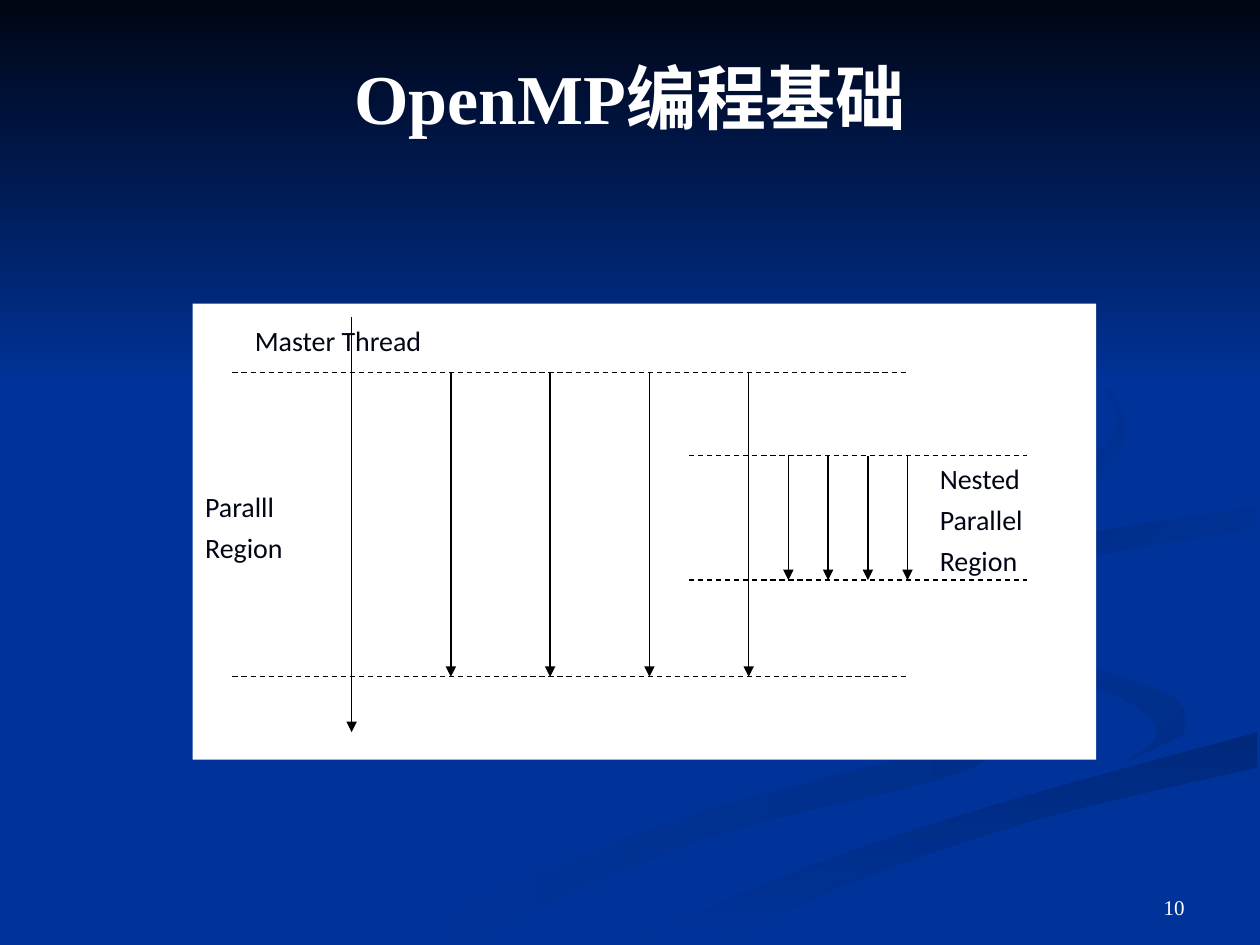
"""Build the OpenMP slide showing a parallel region with a nested one."""
from typing import NamedTuple

from lxml.etree import SubElement
from pptx import Presentation
from pptx.dml.color import RGBColor
from pptx.enum.dml import MSO_LINE
from pptx.enum.shapes import MSO_CONNECTOR, MSO_SHAPE
from pptx.enum.text import MSO_ANCHOR, PP_ALIGN
from pptx.oxml.ns import qn
from pptx.util import Inches, Pt

COLORS = {
    "blue": "003399", "night": "000514", "white": "FFFFFF", "black": "000000",
    "shade": "002E8A", "deep": "00297C", "dusk": "002C85", "dark": "002B81",
}
SERIF, SANS = "Times New Roman", "Calibri"


class Grid(NamedTuple):
    left: float
    top: float
    column: float
    row: float

    def point(self, column, row):
        return Inches(self.left + column * self.column), Inches(self.top + row * self.row)

    def area(self, column, row, columns, rows):
        return *self.point(column, row), Inches(columns * self.column), Inches(rows * self.row)


SHEET = Grid(0, 0, 1, 1)
PANEL = Grid(1.53, 2.41, 7.17 / 91, 3.62 / 33)

SWOOSHES = [
    ("shade", "blue", 180,
     [(5.75, 4.6), (6.3, 5.05), (7.6, 5.47), (7.7, 5.85), (5.4, 6.5), (3, 7.49)],
     [(3.6, 7.49), (5.6, 6.65), (7.7, 6.1), (7.9, 5.6), (6.4, 5.07), (5.75, 4.6)]),
    ("shade", "blue", 225,
     [(7.24, 4.64), (7.7, 5.13), (8.8, 5.49), (9.18, 5.8), (8.94, 6.05)],
     [(9.4, 5.83), (9.3, 5.53), (8.3, 5.19), (7.5, 4.92), (7.24, 4.64)]),
    ("deep", "blue", 90,
     [(5.03, 7.49), (6.3, 6.93), (7.8, 6.42), (9.98, 5.81)],
     [(9.98, 6.09), (8.2, 6.51), (6.7, 7.02), (5.7, 7.49)]),
    ("blue", "dusk", 225,
     [(8.26, 4.96), (7.82, 4.65), (8.35, 4.3), (9.98, 4.02)],
     [(9.98, 4.2), (8.6, 4.43), (8.05, 4.72), (8.26, 4.96)]),
    ("blue", "dark", 225,
     [(7.62, 2.33), (8.6, 2.87), (8.92, 3.5), (8.25, 4.02), (6.5, 4.36), (6.2, 5)],
     [(5.77, 4.6), (6.5, 4.2), (8.3, 3.82), (8.85, 3.2), (7.62, 2.33)]),
]


def color(name):
    return RGBColor.from_string(COLORS[name])


def smooth(knots, steps=6):
    """Return points on a Catmull-Rom curve through the knots."""
    ends = [knots[0], *knots, knots[-1]]
    curve = []
    for before, start, end, after in zip(ends, ends[1:], ends[2:], ends[3:]):
        for step in range(steps):
            t = step / steps
            curve.append(tuple(
                b + t * ((c - a) + t * ((2 * a - 5 * b + 4 * c - d)
                                        + t * (3 * b - a - 3 * c + d))) / 2
                for a, b, c, d in zip(before, start, end, after)))
    return [*curve, knots[-1]]


def write(frame, text, *, size, font, ink, bold=False, align=PP_ALIGN.LEFT,
          anchor=MSO_ANCHOR.TOP, gap=0):
    """Fill a text frame, one paragraph per line of text."""
    frame.word_wrap = True
    frame.vertical_anchor = anchor
    frame.text = text
    for index, para in enumerate(frame.paragraphs):
        para.alignment = align
        para.space_before = Pt(gap if index else 0)
        for span in para.runs:
            span.font.size = Pt(size)
            span.font.name = font
            span.font.bold = bold
            span.font.color.rgb = color(ink)


class Painter:
    """Draw the elements of one page in a shared style."""

    def __init__(self, page):
        self.shapes = page.shapes
        page.background.fill.solid()
        page.background.fill.fore_color.rgb = color("blue")

    def blend(self, shape, first, last, angle):
        shape.shadow.inherit = False
        shape.line.fill.background()
        shape.fill.gradient()
        shape.fill.gradient_angle = 360 - angle
        for stop, name in zip(shape.fill.gradient_stops, (first, last)):
            stop.color.rgb = color(name)

    def swoosh(self, first, last, angle, outer, inner):
        corners = [SHEET.point(*point) for point in smooth(outer) + smooth(inner)]
        builder = self.shapes.build_freeform(*corners[0])
        builder.add_line_segments(corners[1:], close=True)
        self.blend(builder.convert_to_shape(), first, last, angle)

    def sky(self, *area):
        box = self.shapes.add_shape(MSO_SHAPE.RECTANGLE, *SHEET.area(*area))
        self.blend(box, "night", "blue", 90)

    def title(self, text, area):
        box = self.shapes.title
        box.left, box.top, box.width, box.height = SHEET.area(*area)
        write(box.text_frame, text, size=40, font=SERIF, ink="white", bold=True,
              align=PP_ALIGN.CENTER, anchor=MSO_ANCHOR.BOTTOM)
        self.shapes._spTree.append(box._element)

    def panel(self, *area):
        box = self.shapes.add_shape(MSO_SHAPE.RECTANGLE, *PANEL.area(*area))
        box.shadow.inherit = False
        box.fill.solid()
        box.fill.fore_color.rgb = color("white")
        box.line.fill.background()

    def line(self, start, end, dashed=False, arrow=False):
        link = self.shapes.add_connector(
            MSO_CONNECTOR.STRAIGHT, *PANEL.point(*start), *PANEL.point(*end))
        link.line.color.rgb = color("black")
        link.line.width = Pt(0.75)
        if dashed:
            link.line.dash_style = MSO_LINE.DASH
        if arrow:
            SubElement(link.line._get_or_add_ln(), qn("a:tailEnd"), type="triangle")
        SubElement(link._element.spPr, qn("a:effectLst"))

    def region(self, left, right, top, bottom, threads):
        for row in (top, bottom):
            self.line((left, row), (right, row), dashed=True)
        for column in threads:
            self.line((column, top), (column, bottom), arrow=True)

    def text(self, text, grid, area, **style):
        box = self.shapes.add_textbox(*grid.area(*area))
        write(box.text_frame, text, **style)


def main():
    deck = Presentation()
    deck.slide_width, deck.slide_height = Inches(10), Inches(7.5)
    painter = Painter(deck.slides.add_slide(deck.slide_layouts[5]))
    for swoosh in SWOOSHES:
        painter.swoosh(*swoosh)
    painter.sky(0, 0, 10, 3.08)
    painter.title("OpenMP编程基础", (0.5, 0.21, 9, 0.94))
    painter.panel(0, 0, 91, 33)
    painter.line((16, 1), (16, 31), arrow=True)
    painter.region(4, 72, 5, 27, range(26, 57, 10))
    painter.region(50, 84, 11, 20, range(60, 73, 4))
    for label, area in (
        ("Master Thread", (5, 1, 22, 3)),
        ("Paralll\nRegion", (0, 13, 14, 5)),
        ("Nested\nParallel\nRegion", (74, 11, 15, 8)),
    ):
        painter.text(label, PANEL, area, size=16, font=SANS, ink="night",
                     align=PP_ALIGN.JUSTIFY, gap=4)
    painter.text("10", SHEET, (7.17, 6.83, 2.33, 0.52), size=12, font=SERIF, ink="white",
                 align=PP_ALIGN.RIGHT, anchor=MSO_ANCHOR.BOTTOM)
    deck.save("out.pptx")


if __name__ == "__main__":
    main()
